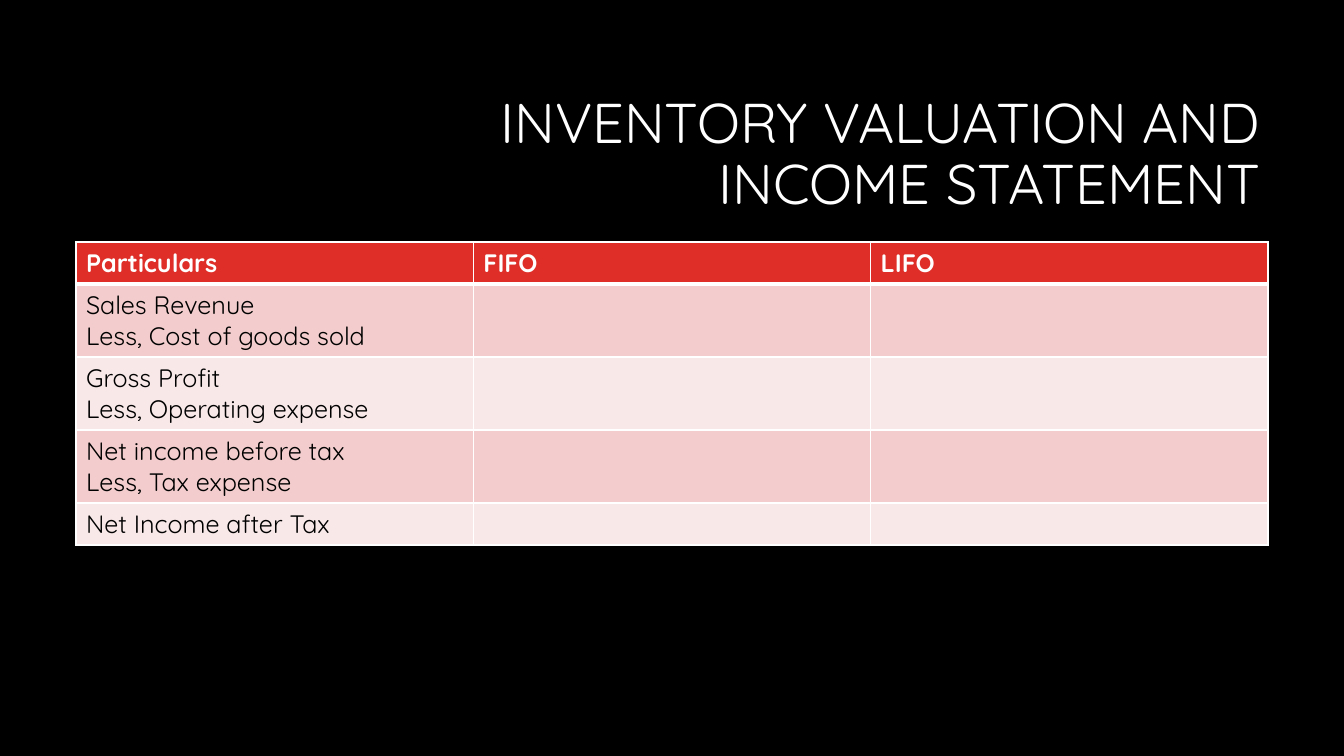
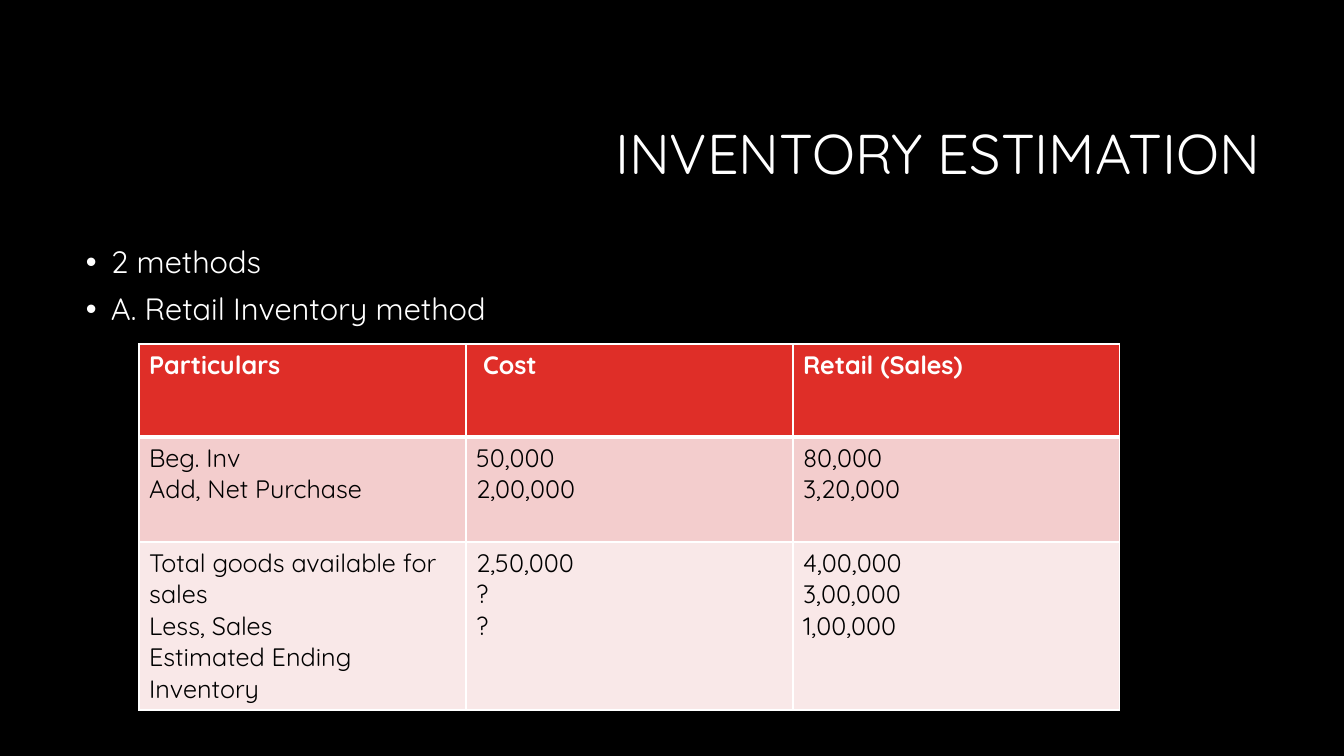
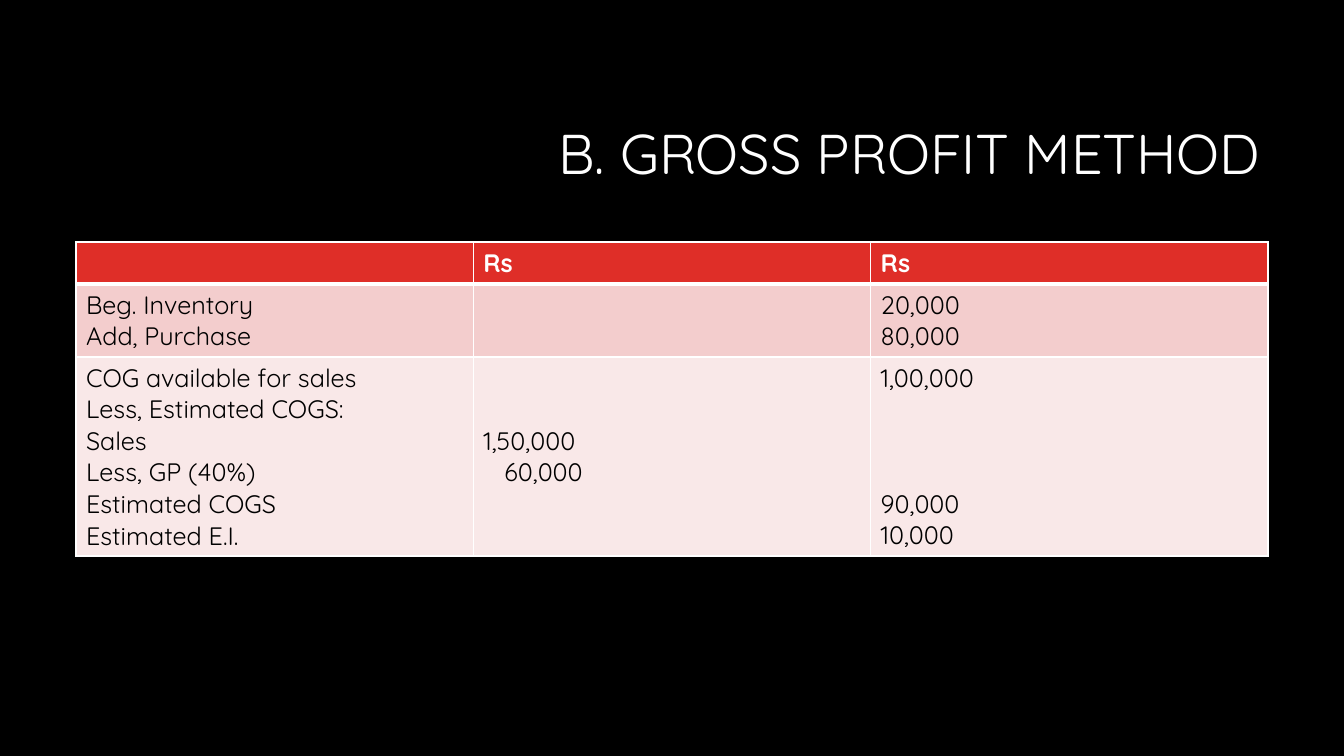
from dataclasses import dataclass

from lxml.etree import SubElement
from pptx import Presentation
from pptx.dml.color import RGBColor
from pptx.enum.text import MSO_ANCHOR, PP_ALIGN
from pptx.oxml.ns import qn
from pptx.util import Emu, Pt

FONT = "Quicksand"
BLACK = RGBColor(0x00, 0x00, 0x00)
WHITE = RGBColor(0xFF, 0xFF, 0xFF)
RED = RGBColor(0xDF, 0x2E, 0x28)
BANDS = (RGBColor(0xF3, 0xCD, 0xCD), RGBColor(0xF9, 0xE8, 0xE8))
PX_PER_INCH = 100.8
TABLE_LINE_PT = 22.5
BLANK_LAYOUT = 6


@dataclass
class Box:
    left: int
    top: int
    width: int
    height: int = 0


@dataclass
class Line:
    text: str
    lines_above: int = 0
    indent: int = 0


TITLE_BOX = Box(320, 85, 950, 142)
CONTENT_BOX = Box(76, 242, 1192, 444)
RETAIL_BOX = Box(139, 344, 981)


def px(length):
    return Emu(round(length * 914400 / PX_PER_INCH))


def place(box):
    return px(box.left), px(box.top), px(box.width), px(box.height)


def add_run(paragraph, text, size, color, bold=False):
    run = paragraph.add_run()
    run.text = text
    run.font.name = FONT
    run.font.size = Pt(size)
    run.font.bold = bold
    run.font.color.rgb = color


def next_paragraph(text_frame, index):
    return text_frame.add_paragraph() if index else text_frame.paragraphs[0]


def add_title(slide, box, text):
    text_frame = slide.shapes.add_textbox(*place(box)).text_frame
    text_frame.word_wrap = True
    text_frame.vertical_anchor = MSO_ANCHOR.MIDDLE
    paragraph = text_frame.paragraphs[0]
    paragraph.alignment = PP_ALIGN.RIGHT
    paragraph.line_spacing = 0.9
    add_run(paragraph, text, 40, WHITE)


def add_bullets(slide, box, items):
    text_frame = slide.shapes.add_textbox(*place(box)).text_frame
    text_frame.word_wrap = True
    for index, item in enumerate(items):
        paragraph = next_paragraph(text_frame, index)
        paragraph.line_spacing = 0.9
        paragraph.space_before = Pt(10)
        properties = paragraph._p.get_or_add_pPr()
        properties.set("marL", str(px(25)))
        properties.set("indent", str(px(-25)))
        SubElement(properties, qn("a:buFont"), typeface="Arial")
        SubElement(properties, qn("a:buChar"), char="•")
        add_run(paragraph, item, 22, WHITE)


def set_borders(cell, top, bottom):
    properties = cell._tc.get_or_add_tcPr()
    for side, points in (("L", 1), ("R", 1), ("T", top), ("B", bottom)):
        border = SubElement(properties, qn(f"a:ln{side}"), w=str(Pt(points)))
        fill = SubElement(border, qn("a:solidFill"))
        SubElement(fill, qn("a:srgbClr"), val=str(WHITE))


def fill_cell(cell, lines, row_index):
    is_header = row_index == 0
    set_borders(cell, 3 if row_index == 1 else 1, 3 if is_header else 1)
    cell.fill.solid()
    cell.fill.fore_color.rgb = RED if is_header else BANDS[(row_index - 1) % 2]
    for index, line in enumerate(lines):
        if isinstance(line, str):
            line = Line(line)
        paragraph = next_paragraph(cell.text_frame, index)
        gap = Pt(TABLE_LINE_PT * line.lines_above)
        if gap and index == 0:
            cell.margin_top = px(5) + gap
        elif gap:
            paragraph.space_before = gap
        if line.indent:
            paragraph._p.get_or_add_pPr().set("marL", str(px(line.indent)))
        add_run(paragraph, line.text, 18, WHITE if is_header else BLACK, is_header)


def add_statement_table(slide, box, row_heights, rows):
    column_count = len(rows[0])
    frame = slide.shapes.add_table(
        len(rows), column_count, px(box.left), px(box.top),
        px(box.width), px(sum(row_heights)))
    table = frame.table
    table.horz_banding = False
    for column in table.columns:
        column.width = px(box.width / column_count)
    for row_index, (height, row) in enumerate(zip(row_heights, rows)):
        table.rows[row_index].height = px(height)
        for column_index, lines in enumerate(row):
            fill_cell(table.cell(row_index, column_index), lines, row_index)


def add_titled_slide(presentation, title):
    slide = presentation.slides.add_slide(presentation.slide_layouts[BLANK_LAYOUT])
    add_title(slide, TITLE_BOX, title)
    return slide


def add_income_slide(presentation):
    slide = add_titled_slide(presentation, "INVENTORY VALUATION AND INCOME STATEMENT")
    add_statement_table(slide, CONTENT_BOX, (42, 73, 73, 73, 42), [
        [["Particulars"], ["FIFO"], ["LIFO"]],
        [["Sales Revenue", "Less, Cost of goods sold"], [], []],
        [["Gross Profit", "Less, Operating expense"], [], []],
        [["Net income before tax", "Less, Tax expense"], [], []],
        [["Net Income after Tax"], [], []],
    ])


def add_estimation_slide(presentation):
    slide = add_titled_slide(presentation, "INVENTORY ESTIMATION")
    add_bullets(slide, CONTENT_BOX, ["2 methods", "A. Retail Inventory method"])
    add_statement_table(slide, RETAIL_BOX, (93, 105, 168), [
        [["Particulars"], [Line("Cost", indent=7)], ["Retail (Sales)"]],
        [["Beg. Inv", "Add, Net Purchase"],
         ["50,000", "2,00,000"],
         ["80,000", "3,20,000"]],
        [["Total goods available for sales", "Less, Sales", "Estimated Ending Inventory"],
         ["2,50,000", "?", "?"],
         ["4,00,000", "3,00,000", "1,00,000"]],
    ])


def add_gross_profit_slide(presentation):
    slide = add_titled_slide(presentation, "B. GROSS PROFIT METHOD")
    add_statement_table(slide, CONTENT_BOX, (42, 73, 199), [
        [[], ["Rs"], ["Rs"]],
        [["Beg. Inventory", "Add, Purchase"], [], ["20,000", "80,000"]],
        [["COG available for sales", "Less, Estimated COGS:", "Sales",
          "Less, GP (40%)", "Estimated COGS", "Estimated E.I."],
         [Line("1,50,000", lines_above=2), Line("60,000", indent=21)],
         ["1,00,000", Line("90,000", lines_above=3), "10,000"]],
    ])


def main():
    presentation = Presentation()
    presentation.slide_width = px(1344)
    presentation.slide_height = px(756)
    background = presentation.slide_master.background.fill
    background.solid()
    background.fore_color.rgb = BLACK
    add_income_slide(presentation)
    add_estimation_slide(presentation)
    add_gross_profit_slide(presentation)
    presentation.save("out.pptx")


if __name__ == "__main__":
    main()
